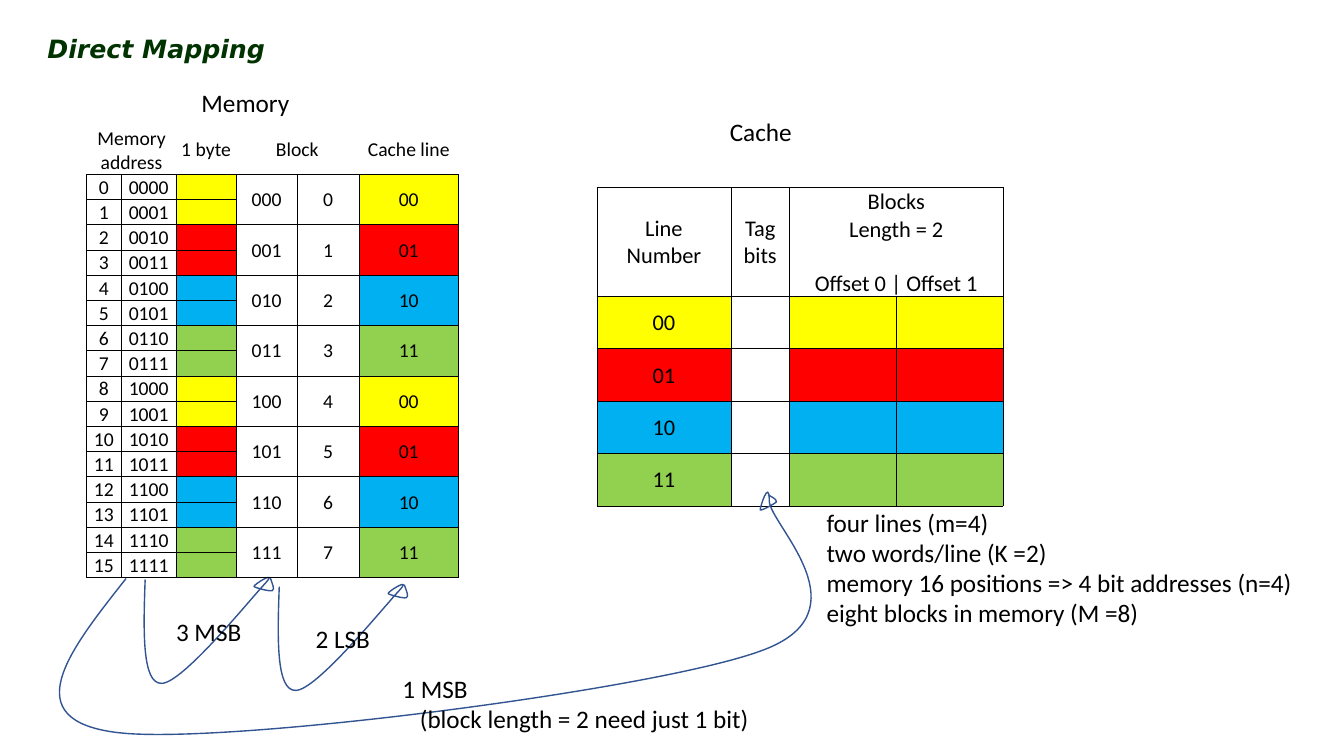
from lxml.etree import SubElement as Sub
from pptx import Presentation
from pptx.dml.color import RGBColor as Rgb
from pptx.enum.text import MSO_ANCHOR as Anchor, MSO_AUTO_SIZE as Auto, PP_ALIGN as Align
from pptx.oxml.ns import qn
from pptx.util import Pt

PX = 9144  # 100 px to the inch
HUES = {"ink": "000000", "title": "003300", "curve": "325491"}
LINES = {"00": "FFFF00", "01": "FF0000", "10": "00B0F0", "11": "92D050"}
PLAIN = "{2D5ABB26-0587-4C30-8999-92F81FD0307C}"  # table style without grid
SIDES = ("a:lnL", "a:lnR", "a:lnT", "a:lnB")

# Curves: a start point, then two controls and an end per segment
HOOK = [(144, 575), (142, 627), (141, 678), (160, 678), (180, 679), (247, 596),
        (262, 580), (278, 563), (250, 581), (252, 582), (253, 583), (267, 587),
        (270, 586), (273, 585), (270, 579), (268, 573)]
SWEEP = [(125, 574), (69, 645), (13, 715), (118, 727), (223, 739), (647, 685),
         (754, 646), (862, 608), (763, 520), (763, 497), (763, 473), (753, 506),
         (754, 506), (755, 507), (768, 500), (770, 498), (771, 495), (763, 492),
         (762, 491)]


def scale(*vals):
    return [v * PX for v in vals]


def write(frame, lines, size, hue="ink", align=Align.LEFT, **extra):
    """Fill a text frame, one paragraph per line."""
    look = {"size": Pt(size), "name": "Calibri", **extra}
    for i, line in enumerate(lines):
        para = frame.paragraphs[0] if i == 0 else frame.add_paragraph()
        para.alignment = align
        if line:
            para.text = line
        for run in para.runs:
            for key, val in look.items():
                setattr(run.font, key, val)
            run.font.color.rgb = Rgb.from_string(HUES[hue])
        para._p.get_or_add_endParaRPr().set("sz", str(size * 100))


def label(slide, box, *lines):
    frame = slide.shapes.add_textbox(*scale(*box)).text_frame
    frame.word_wrap = True
    frame.auto_size = Auto.SHAPE_TO_FIT_TEXT
    write(frame, lines, 18)


def grid(slide, spot, cols, rows):
    """Add an unstyled table with the given column and row sizes."""
    box = scale(*spot, sum(cols), sum(rows))
    table = slide.shapes.add_table(len(rows), len(cols), *box).table
    table.first_row = table.horz_banding = False
    table._tbl.tblPr.find(qn("a:tableStyleId")).text = PLAIN
    for col, wide in zip(table.columns, cols):
        col.width = wide * PX
    for row, high in zip(table.rows, rows):
        row.height = high * PX
    return table


def paint(cell, lines, size, fill=None, sides=SIDES, anchor=Anchor.MIDDLE):
    """Set borders, fill, margins and text of one cell."""
    look = {"margin_left": PX, "margin_right": PX, "margin_top": PX,
            "margin_bottom": 0, "vertical_anchor": anchor}
    for key, val in look.items():
        setattr(cell, key, val)
    props = cell._tc.get_or_add_tcPr()
    for side in sides:
        edge = Sub(props, qn(side), w=str(Pt(0.5)))
        Sub(Sub(edge, qn("a:solidFill")), qn("a:srgbClr"), val=HUES["ink"])
    if fill:
        cell.fill.solid()
        cell.fill.fore_color.rgb = Rgb.from_string(fill)
    else:
        cell.fill.background()
    write(cell.text_frame, lines, size, align=Align.CENTER)


def memory(slide):
    table = grid(slide, (86, 123), [34, 55, 59, 61, 61, 99], [50] + [25] * 16)
    # Headings
    table.cell(0, 0).merge(table.cell(0, 1))
    table.cell(0, 3).merge(table.cell(0, 4))
    heads = ["Memory\vaddress", "", "1 byte", "Block", "", "Cache line"]
    for col, head in enumerate(heads):
        paint(table.cell(0, col), [head], 14, sides=SIDES[3:],
              anchor=Anchor.MIDDLE if col else Anchor.BOTTOM)
    # Addresses, two to a block
    for addr in range(16):
        block, odd = divmod(addr, 2)
        line = f"{block % 4:02b}"
        vals = [str(addr), f"{addr:04b}", ""]
        vals += ["", "", ""] if odd else [f"{block:03b}", str(block), line]
        for col, val in enumerate(vals):
            cell = table.cell(addr + 1, col)
            if col > 2 and not odd:
                cell.merge(table.cell(addr + 2, col))
            paint(cell, [val], 14, LINES[line] if col in (2, 5) else None,
                  anchor=Anchor.BOTTOM if col < 2 else Anchor.MIDDLE)


def cache(slide):
    table = grid(slide, (592, 186), [133, 58, 106, 106], [104] + [52] * 4)
    table.cell(0, 2).merge(table.cell(0, 3))
    heads = [["Line\vNumber"], ["Tag\vbits"],
             ["Blocks", "Length = 2", "Offset 0 | Offset 1"], [""]]
    for col, head in enumerate(heads):
        paint(table.cell(0, col), head, 16)
    table.cell(0, 2).text_frame.paragraphs[2].space_before = Pt(19.5)
    for row, (line, hue) in enumerate(LINES.items(), 1):
        for col, val in enumerate([line, "", "", ""]):
            paint(table.cell(row, col), [val], 16, None if col == 1 else hue)


def curve(slide, box, spots, lines, anchor=Anchor.MIDDLE):
    """Draw a Bezier line in its box, with centred text."""
    pen = slide.shapes.build_freeform(*spots[0], scale=PX)
    pen.add_line_segments(spots[3::3], close=False)
    shape = pen.convert_to_shape()
    shape.left, shape.top, shape.width, shape.height = scale(*box)
    # Bend each straight segment with its control points
    trace = shape._element.find(".//" + qn("a:path"))
    trace.set("w", str(box[2]))
    trace.set("h", str(box[3]))
    groups = [spots[:1]] + [spots[i:i + 3] for i in range(1, len(spots), 3)]
    for step, group in zip(list(trace), groups):
        trace.remove(step)
        bend = Sub(trace, qn("a:cubicBezTo" if len(group) == 3 else "a:moveTo"))
        for x, y in group:
            Sub(bend, qn("a:pt"), x=str(x - box[0]), y=str(y - box[1]))
    shape.shadow.inherit = False
    shape.fill.background()
    shape.line.color.rgb = Rgb.from_string(HUES["curve"])
    shape.line.width = Pt(1)
    frame = shape.text_frame
    frame.word_wrap = True
    frame.vertical_anchor = anchor
    write(frame, lines, 18, align=Align.CENTER)
    return frame


def heading(slide, text):
    title = slide.shapes.title
    title.left, title.top, title.width, title.height = scale(37, 28, 289, 40)
    frame = title.text_frame
    frame.vertical_anchor = Anchor.TOP
    frame.auto_size = Auto.SHAPE_TO_FIT_TEXT
    write(frame, [text], 18, "title", name="DejaVu Sans", bold=True, italic=True)


def main():
    deck = Presentation()
    deck.slide_width, deck.slide_height = scale(1333, 750)
    slide = deck.slides.add_slide(deck.slide_layouts[5])
    heading(slide, "Direct Mapping")

    # Address bits to block, block bits to cache line
    for text, dx, dy in (("3 MSB", 0, 0), ("2 LSB", 133, 7)):
        spots = [(x + dx, y + dy) for x, y in HOOK]
        curve(slide, (143 + dx, 573 + dy, 128, 106), spots, [text])

    # Tables and their captions
    memory(slide)
    cache(slide)
    label(slide, (190, 82, 160, 40), "Memory")
    label(slide, (714, 110, 160, 40), "Cache")

    # Address bit to tag
    frame = curve(slide, (59, 488, 745, 240), SWEEP,
                  ["1 MSB", "(block length = 2 need just 1 bit)"], Anchor.BOTTOM)
    frame.margin_bottom = 0
    frame.paragraphs[1]._p.get_or_add_pPr().set("marL", str(296 * PX))

    label(slide, (810, 498, 506, 131), "four lines (m=4)", "two words/line (K =2)",
          "memory 16 positions => 4 bit addresses (n=4)",
          "eight blocks in memory (M =8)")
    deck.save("out.pptx")


if __name__ == "__main__":
    main()
